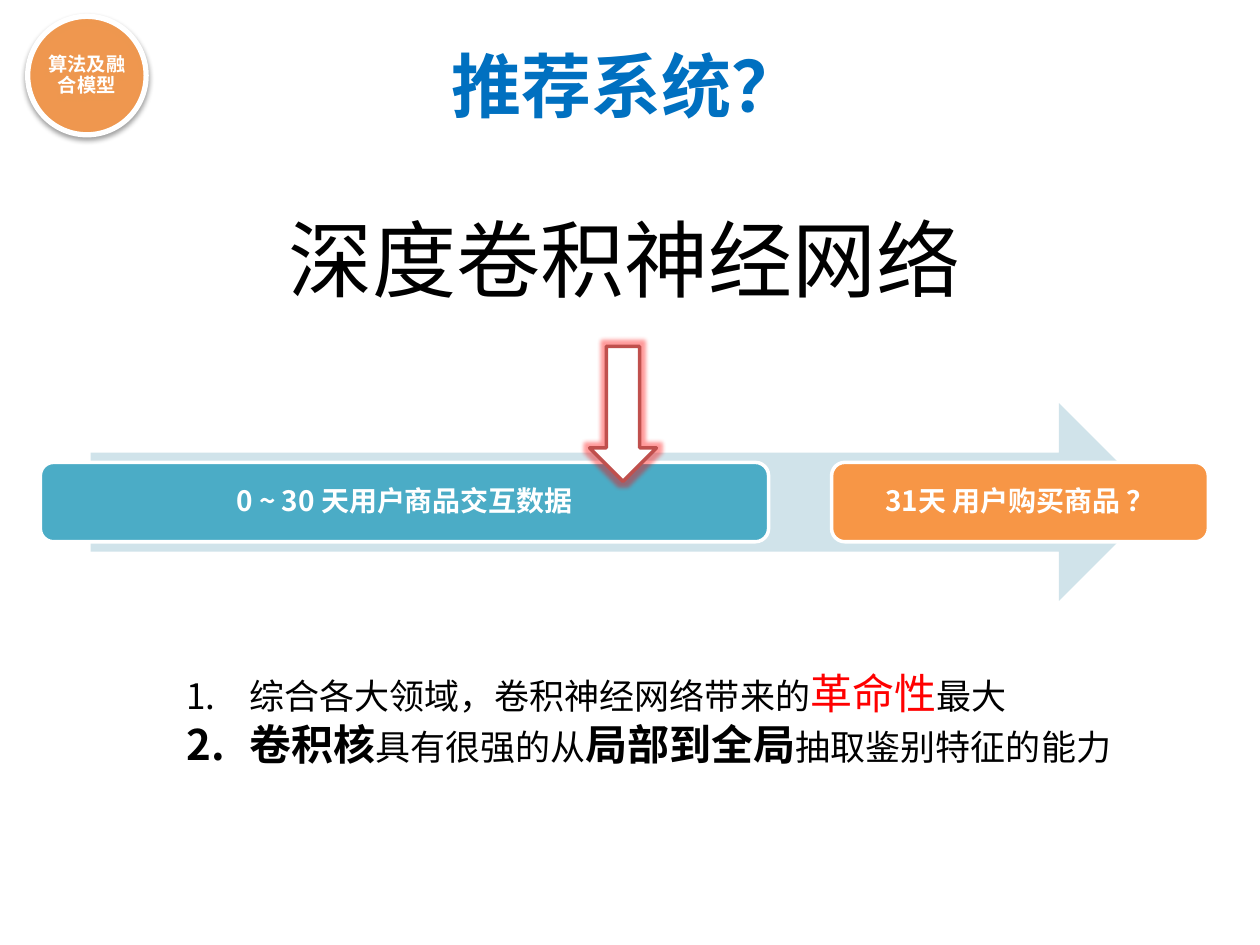
import pptx
import pptx.dml.color
import pptx.enum.shapes
import pptx.enum.text
import pptx.oxml
import pptx.oxml.ns
import pptx.util
from dataclasses import dataclass


@dataclass(frozen=True)
class Theme:
    latin: str = "Calibri"
    body: str = "Noto Sans CJK SC"
    blue: str = "0070C0"
    orange: str = "F79646"
    teal: str = "4BACC6"
    pale: str = "D0E3EA"
    red: str = "FF0000"
    brick: str = "C0504D"
    black: str = "000000"
    white: str = "FFFFFF"
    title_size: int = 40
    headline_size: int = 48
    strong_size: int = 24
    point_size: int = 20
    label_size: int = 16
    badge_size: int = 11


theme = Theme()
color = pptx.dml.color.RGBColor.from_string
kinds = pptx.enum.shapes.MSO_SHAPE
namespace = pptx.oxml.ns.nsdecls("a")

presentation = pptx.Presentation()
presentation.slide_width = pptx.util.Inches(10)
presentation.slide_height = pptx.util.Inches(7.5)
slide = presentation.slides.add_slide(presentation.slide_layouts[5])

# Grid of 100 columns by 75 rows
column = presentation.slide_width // 100
row = presentation.slide_height // 75


def write_text(shape, paragraphs, size, fill=theme.black, bold=False, font=theme.body,
               align="CENTER", anchor="TOP", inset=None, spacing=None,
               wrap=True, numbered=False):
    """Each paragraph is a list of (text, run overrides)."""
    frame = shape.text_frame
    frame.word_wrap = wrap
    frame.vertical_anchor = pptx.enum.text.MSO_ANCHOR[anchor]
    if inset is not None:
        frame.margin_left = frame.margin_right = pptx.util.Inches(inset)
        frame.margin_top = frame.margin_bottom = pptx.util.Inches(inset)
    for index, runs in enumerate(paragraphs):
        paragraph = frame.add_paragraph() if index else frame.paragraphs[0]
        paragraph.alignment = pptx.enum.text.PP_ALIGN[align]
        if spacing:
            paragraph.line_spacing = spacing
        if numbered:
            properties = paragraph._p.get_or_add_pPr()
            properties.set("marL", str(pptx.util.Inches(0.5)))
            properties.set("indent", str(-pptx.util.Inches(0.5)))
            properties.append(pptx.oxml.parse_xml(
                f'<a:buAutoNum {namespace} type="arabicPeriod"/>'))
        for text, override in runs:
            run = paragraph.add_run()
            run.text = text
            run.font.name = font
            run.font.size = pptx.util.Pt(override.get("size", size))
            run.font.bold = override.get("bold", bold)
            run.font.color.rgb = color(override.get("fill", fill))
            run._r.get_or_add_rPr().append(pptx.oxml.parse_xml(
                f'<a:ea {namespace} typeface="{font}"/>'))


def add_block(kind, left, top, width, height, fill, line=None, line_width=2, effect=None):
    shape = slide.shapes.add_shape(kind, int(left * column), int(top * row),
                                   int(width * column), int(height * row))
    shape.shadow.inherit = False
    shape.fill.solid()
    shape.fill.fore_color.rgb = color(fill)
    if line:
        shape.line.color.rgb = color(line)
        shape.line.width = pptx.util.Pt(line_width)
    else:
        shape.line.fill.background()
    if effect:
        effects = shape._element.spPr.find(pptx.oxml.ns.qn("a:effectLst"))
        effects.append(pptx.oxml.parse_xml(effect))
    return shape


# Title
title = slide.shapes.title
title.left, title.top = int(34.6 * column), int(2.9 * row)
title.width, title.height = int(30.2 * column), int(7.7 * row)
write_text(title, [[("推荐系统？", {})]], theme.title_size, fill=theme.blue,
           bold=True, font=theme.latin, wrap=False)

# Topic badge
soft_shadow = (f'<a:outerShdw {namespace} blurRad="{pptx.util.Pt(3.1)}" '
               f'dist="{pptx.util.Pt(1.6)}" dir="5400000" rotWithShape="0">'
               f'<a:srgbClr val="{theme.black}"><a:alpha val="38000"/></a:srgbClr>'
               '</a:outerShdw>')
badge = add_block(kinds.OVAL, 2.2, 1.3, 9.4, 9.4, theme.orange, theme.white, 3, soft_shadow)
badge_color = badge._element.spPr.find(
    f'{pptx.oxml.ns.qn("a:solidFill")}/{pptx.oxml.ns.qn("a:srgbClr")}')
badge_color.append(pptx.oxml.parse_xml(f'<a:alpha {namespace} val="90000"/>'))
write_text(badge, [[("算法及融合模型", {})]], theme.badge_size, fill=theme.white,
           bold=True, anchor="MIDDLE", inset=0.02, spacing=0.9)

# Headline
headline = slide.shapes.add_textbox(int(21.6 * column), 16 * row,
                                    int(55.9 * column), int(9.1 * row))
write_text(headline, [[("深度卷积神经网络", {})]], theme.headline_size, wrap=False)

# Timeline: arrow behind two periods
add_block(kinds.RIGHT_ARROW, 7.2, 32, 84.7, 15.7, theme.pale)
periods = [
    (3.2, 57.8, theme.teal, "0 ~ 30 天用户商品交互数据"),
    (66, 29.9, theme.orange, "31天 用户购买商品 ？"),
]
for left, width, fill, label in periods:
    period = add_block(kinds.ROUNDED_RECTANGLE, left, 36.7, width, 6.3, fill, theme.white)
    write_text(period, [[(label, {})]], theme.label_size, fill=theme.white,
               bold=True, anchor="MIDDLE", inset=0.07, spacing=0.9)

# Glowing arrow from headline to timeline
glow = (f'<a:glow {namespace} rad="{pptx.util.Pt(5)}"><a:srgbClr val="{theme.red}">'
        '<a:alpha val="40000"/></a:srgbClr></a:glow>')
add_block(kinds.DOWN_ARROW, 46.8, 27.5, 5.3, 10.7, theme.white, theme.brick, effect=glow)

# Numbered reasons
strong = {"size": theme.strong_size, "bold": True}
reasons = [
    [("综合各大领域，卷积神经网络带来的", {}),
     ("革命性", {"size": theme.strong_size, "fill": theme.red}),
     ("最大", {})],
    [("卷积核", strong), ("具有很强的从", {}),
     ("局部到全局", strong), ("抽取鉴别特征的能力", {})],
]
reason_box = slide.shapes.add_textbox(int(13.8 * column), int(52.5 * row),
                                      int(92.5 * column), int(9.1 * row))
write_text(reason_box, reasons, theme.point_size, align="LEFT", numbered=True)

presentation.save("out.pptx")
